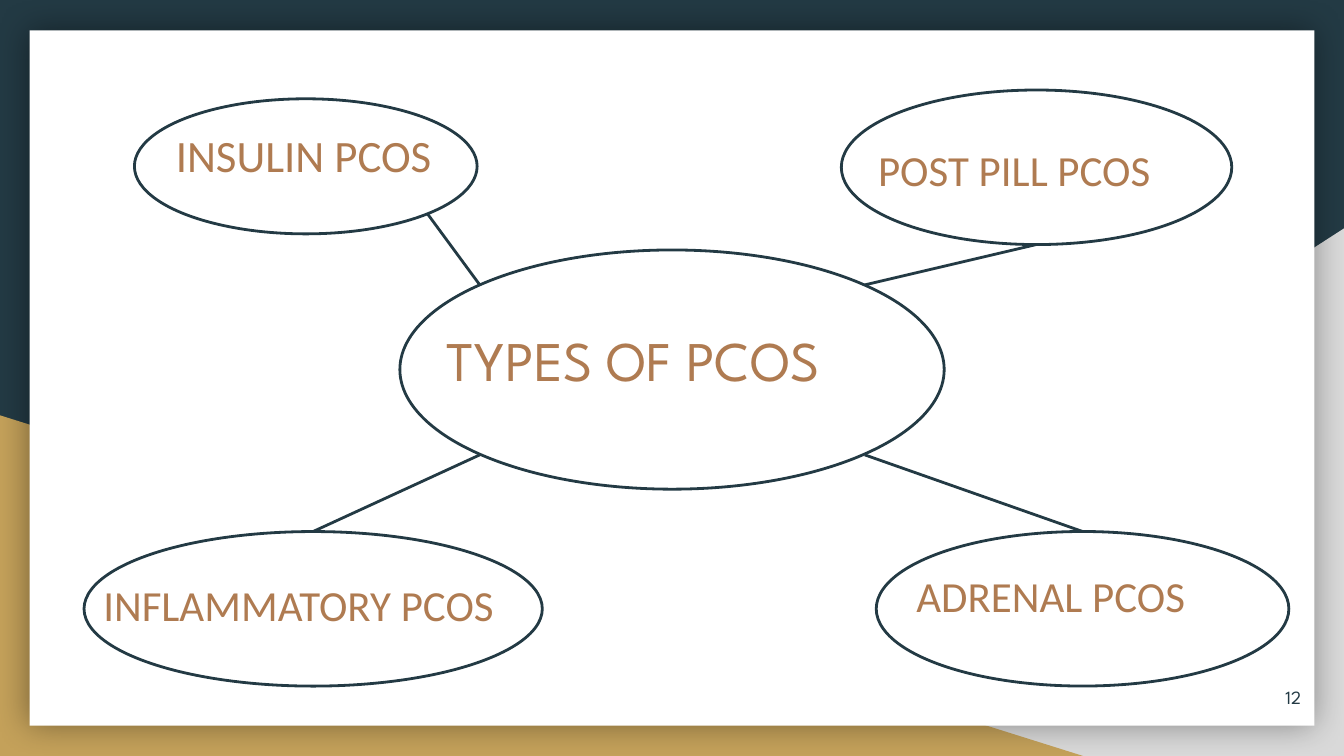
import pptx
import pptx.util
import pptx.dml.color
import pptx.enum.shapes
import pptx.enum.text
import pptx.oxml
import pptx.oxml.ns

PX = 4572  # 200 px to the inch
HUES = {"navy": "233A44", "gray": "D9D9D9", "gold": "C4A15A",
        "white": "FFFFFF", "brown": "AF7B51"}
KIND = pptx.enum.shapes.MSO_SHAPE
ALIGN = pptx.enum.text.PP_ALIGN
ANCHOR = pptx.enum.text.MSO_ANCHOR
RGB = pptx.dml.color.RGBColor.from_string

deck = pptx.Presentation()
deck.slide_width, deck.slide_height = 2000 * PX, 1125 * PX
slide = deck.slides.add_slide(deck.slide_layouts[6])
slide.background.fill.solid()
slide.background.fill.fore_color.rgb = RGB(HUES["navy"])


def add_form(kind, box, fill=None):
    """Add a filled shape without line, or an outlined one without fill."""
    form = slide.shapes.add_shape(kind, *[n * PX for n in box])
    form.shadow.inherit = False
    if fill:
        form.fill.solid()
        form.fill.fore_color.rgb = RGB(HUES[fill])
        form.line.fill.background()
    else:
        form.fill.background()
        form.line.color.rgb = RGB(HUES["navy"])
        form.line.width = pptx.util.Pt(1.5)
    return form


def add_text(words, box, size, font, hue, align=ALIGN.LEFT, anchor=ANCHOR.TOP):
    """Add a one-line text box."""
    frame = slide.shapes.add_textbox(*[n * PX for n in box]).text_frame
    frame.word_wrap = True
    frame.vertical_anchor = anchor
    frame.margin_left = frame.margin_right = 20 * PX
    frame.margin_top = frame.margin_bottom = 20 * PX
    frame.paragraphs[0].alignment = align
    run = frame.paragraphs[0].add_run()
    run.text = words
    run.font.size = pptx.util.Pt(size)
    run.font.name = font
    run.font.color.rgb = RGB(HUES[hue])


# Backdrop: two corner wedges and the white card
wedge = add_form(KIND.RIGHT_TRIANGLE, (784, 340, 1216, 785), "gray")
wedge._element.spPr.find(pptx.oxml.ns.qn("a:xfrm")).set("flipH", "1")
add_form(KIND.RIGHT_TRIANGLE, (0, 618, 1612, 507), "gold")
card = add_form(KIND.RECTANGLE, (44, 45, 1912, 1035), "white")
glow = card._element.spPr.find(pptx.oxml.ns.qn("a:effectLst"))
glow.append(pptx.oxml.parse_xml(
    f'<a:outerShdw {pptx.oxml.ns.nsdecls("a")} blurRad="{18 * 12700}" dist="0" '
    'dir="0" algn="ctr" rotWithShape="0"><a:srgbClr val="000000">'
    '<a:alpha val="40000"/></a:srgbClr></a:outerShdw>'))

# Hub
add_text("TYPES OF PCOS", (644, 464, 682, 154), 30, "League Spartan", "brown")
add_form(KIND.OVAL, (595, 372, 810, 356))

# Types: words, text box, size, oval, line start on the type, line end on the hub
TYPES = [
    ("INSULIN PCOS", (242, 170, 544, 194), 24,
     (200, 147, 510, 201), (636, 318), (714, 424)),
    ("POST PILL PCOS", (1287, 194, 604, 154), 23,
     (1252, 134, 581, 230), (1542, 364), (1287, 424)),
    ("INFLAMMATORY PCOS", (134, 841, 682, 154), 23,
     (125, 791, 682, 230), (466, 791), (714, 677)),
    ("ADRENAL PCOS", (1344, 828, 490, 178), 23,
     (1304, 791, 614, 230), (1611, 791), (1287, 677)),
]
for words, box, size, oval, start, end in TYPES:
    add_text(words, box, size, "Calibri", "brown")
    node = add_form(KIND.OVAL, oval)
    link = slide.shapes.add_connector(pptx.enum.shapes.MSO_CONNECTOR.STRAIGHT,
                                      *[n * PX for n in start + end])
    if start[1] == oval[1]:  # starts at the top of the oval
        link.begin_connect(node, 0)
    link.line.color.rgb = RGB(HUES["navy"])
    link.line.width = pptx.util.Pt(1.5)
    link._element.spPr.append(pptx.oxml.parse_xml(
        f'<a:effectLst {pptx.oxml.ns.nsdecls("a")}/>'))

# Page number
add_text("12", (1836, 994, 120, 86), 10, "League Spartan", "navy",
         ALIGN.RIGHT, ANCHOR.MIDDLE)

deck.save("out.pptx")
